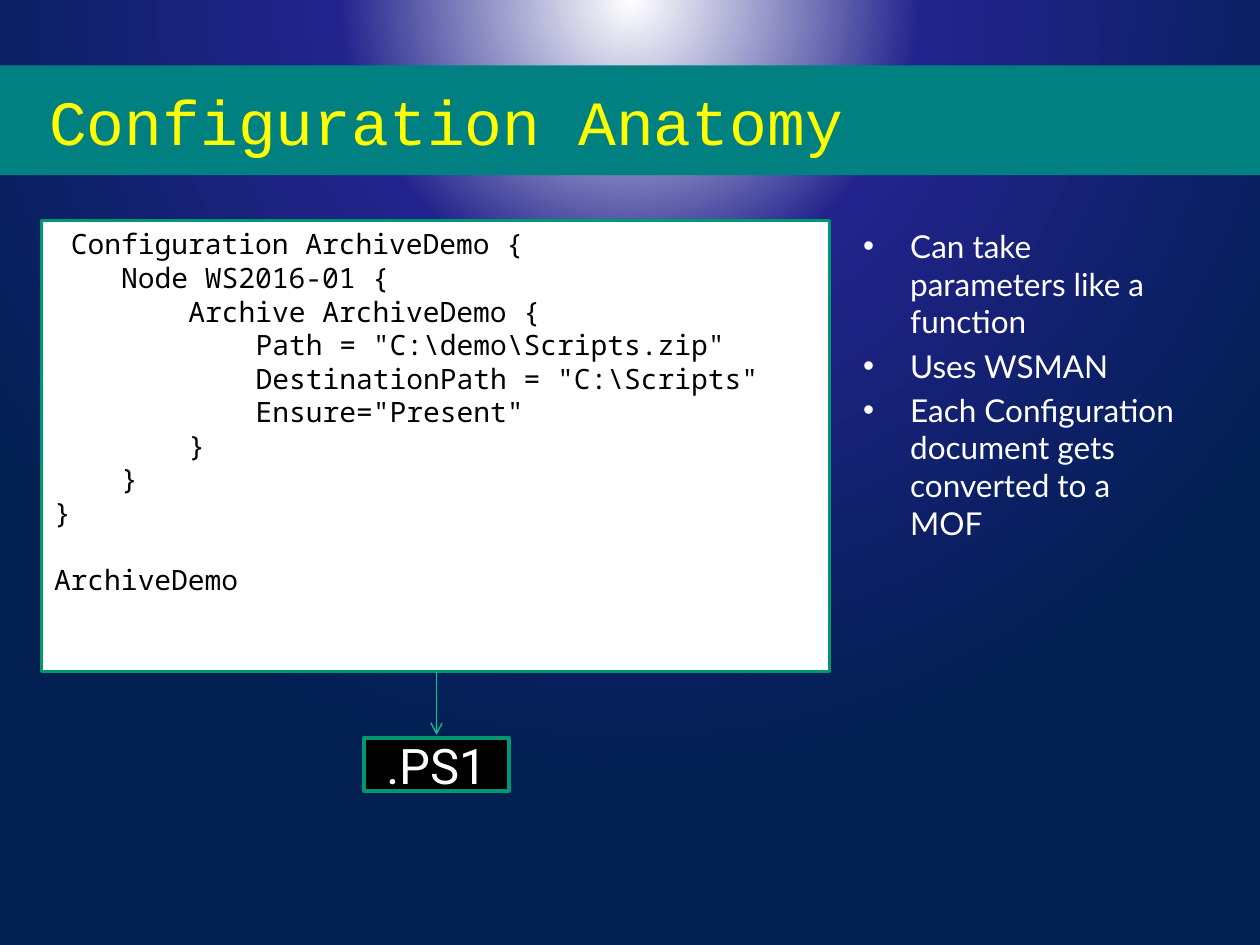
"""Build the Configuration Anatomy slide."""
from lxml import etree
from pptx import Presentation
from pptx.dml.color import RGBColor
from pptx.enum.shapes import MSO_CONNECTOR, MSO_SHAPE
from pptx.enum.text import MSO_ANCHOR, PP_ALIGN
from pptx.oxml import parse_xml
from pptx.oxml.ns import nsdecls, qn
from pptx.util import Cm, Pt

RECTANGLE, STRAIGHT = MSO_SHAPE.RECTANGLE, MSO_CONNECTOR.STRAIGHT
TOP, MIDDLE = MSO_ANCHOR.TOP, MSO_ANCHOR.MIDDLE
LEFT, CENTER = PP_ALIGN.LEFT, PP_ALIGN.CENTER

COLORS = {
    "white": "FFFFFF", "black": "000000", "yellow": "FFFF00", "band": "008080",
    "border": "009771", "arrow": "00C896", "indigo": "23238D", "navy": "011F51",
}
BACKDROP = [(0, "white"), (37, "indigo"), (100, "navy")]

TITLE = "Configuration Anatomy"
CODE = [
    (1, "Configuration ArchiveDemo {"),
    (4, "Node WS2016-01 {"),
    (8, "Archive ArchiveDemo {"),
    (12, 'Path = "C:\\demo\\Scripts.zip"'),
    (12, 'DestinationPath = "C:\\Scripts"'),
    (12, 'Ensure="Present"'),
    (8, "}"),
    (4, "}"),
    (0, "}"),
]
CALL = (0, "ArchiveDemo")
FILE_TYPE = ".PS1"
FACTS = [
    "Can take parameters like a function",
    "Uses WSMAN",
    "Each Configuration document gets converted to a MOF",
]

SLIDE_SIZE = (25.4, 19.05)
TITLE_BOX = (0, 1.32, 25.4, 2.21)
CODE_BOX = (0.84, 4.45, 15.88, 9.09)
FILE_BOX = (7.34, 14.88, 2.92, 1.07)
FACTS_BOX = (17.15, 4.45, 6.99, 12.57)
CHARACTER_WIDTH = 9.6
CODE_LINE = 19.2
BULLET_INDENT = 0.95


def rgb(name):
    return RGBColor.from_string(COLORS[name])


def paint_background(slide):
    slide.background.fill.gradient()
    old = slide.background._cSld.find(".//" + qn("a:gradFill"))
    stops = "".join(
        f'<a:gs pos="{position * 1000}"><a:srgbClr val="{COLORS[name]}"/></a:gs>'
        for position, name in BACKDROP
    )
    gradient = parse_xml(
        f'<a:gradFill {nsdecls("a")} rotWithShape="1"><a:gsLst>{stops}</a:gsLst>'
        '<a:path path="circle"><a:fillToRect l="50000" t="-80000" r="50000" b="180000"/>'
        "</a:path></a:gradFill>"
    )
    old.getparent().replace(old, gradient)


def write(shape, lines, font, size, color, anchor=TOP, align=LEFT):
    frame = shape.text_frame
    frame.word_wrap = True
    frame.vertical_anchor = anchor
    frame.text = "\n".join(lines)
    for paragraph in frame.paragraphs:
        paragraph.alignment = align
        for run in paragraph.runs:
            run.font.name, run.font.size = font, Pt(size)
            run.font.color.rgb = rgb(color)
    return frame


def add_panel(slide, box, fill, border=None):
    panel = slide.shapes.add_shape(RECTANGLE, *map(Cm, box))
    panel.shadow.inherit = False
    panel.fill.solid()
    panel.fill.fore_color.rgb = rgb(fill)
    if border:
        panel.line.color.rgb = rgb(border)
        panel.line.width = Pt(2)
    else:
        panel.line.fill.background()
    return panel


def add_code(slide):
    panel = add_panel(slide, CODE_BOX, "white", "border")
    lines = CODE + [CALL]
    frame = write(panel, [text for _, text in lines], "Noto Sans Mono", 16, "black")
    for paragraph, (depth, _) in zip(frame.paragraphs, lines):
        paragraph._p.get_or_add_pPr().set("marL", str(Pt(depth * CHARACTER_WIDTH)))
    frame.paragraphs[-1].space_before = Pt(CODE_LINE)


def add_arrow(slide):
    x = FILE_BOX[0] + FILE_BOX[2] / 2
    start = CODE_BOX[1] + CODE_BOX[3]
    arrow = slide.shapes.add_connector(STRAIGHT, Cm(x), Cm(start), Cm(x), Cm(start + 1.27))
    arrow.line.color.rgb = rgb("arrow")
    arrow.line.width = Pt(0.75)
    etree.SubElement(arrow.line._get_or_add_ln(), qn("a:tailEnd"), type="arrow")
    etree.SubElement(arrow._element.spPr, qn("a:effectLst"))


def add_facts(slide):
    box = slide.shapes.add_textbox(*map(Cm, FACTS_BOX))
    frame = write(box, FACTS, "Lato", 18, "white")
    for paragraph in frame.paragraphs:
        paragraph.space_before = Pt(3.6)
        properties = paragraph._p.get_or_add_pPr()
        properties.set("marL", str(Cm(BULLET_INDENT)))
        properties.set("indent", str(-Cm(BULLET_INDENT)))
        etree.SubElement(properties, qn("a:buFont"), typeface="Arial")
        etree.SubElement(properties, qn("a:buChar"), char="•")


def main():
    deck = Presentation()
    deck.slide_width, deck.slide_height = map(Cm, SLIDE_SIZE)
    slide = deck.slides.add_slide(deck.slide_layouts[6])
    paint_background(slide)
    title = add_panel(slide, TITLE_BOX, "band")
    write(title, [TITLE], "Courier New", 36, "yellow", MIDDLE).margin_left = Cm(0.99)
    add_code(slide)
    add_arrow(slide)
    file_panel = add_panel(slide, FILE_BOX, "black", "border")
    write(file_panel, [FILE_TYPE], "Roboto", 28, "white", MIDDLE, CENTER)
    add_facts(slide)
    deck.save("out.pptx")


if __name__ == "__main__":
    main()
